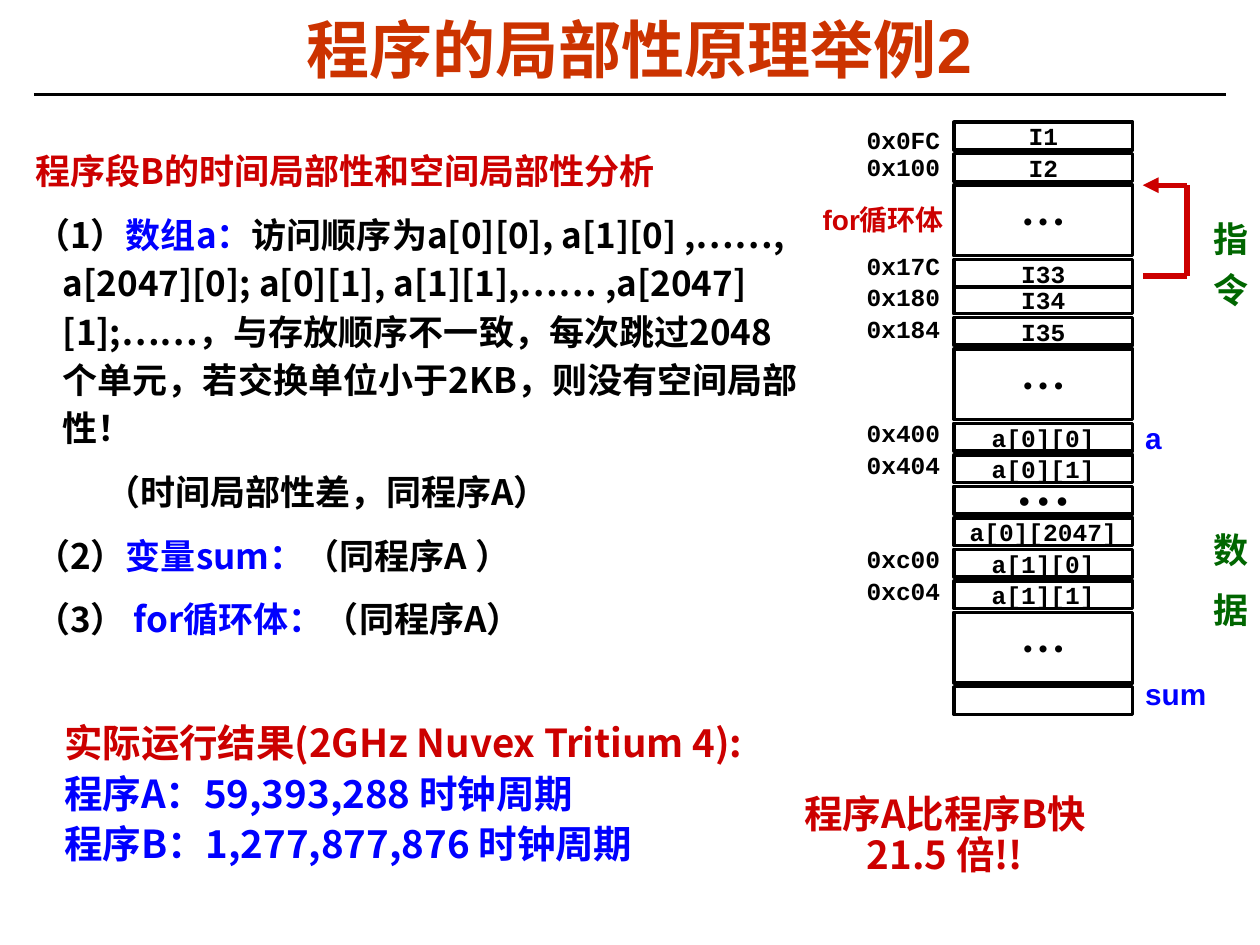
import pptx
import pptx.dml.color
import pptx.enum.dml
import pptx.enum.shapes
import pptx.enum.text
import pptx.oxml
import pptx.oxml.ns
import pptx.util
from pptx.util import Inches

SANS = "Noto Sans CJK SC"
MONO = "Courier New"
RED, BLUE, GREEN, BLACK = "CC0000", "0000FF", "006600", "000000"
LEFT = pptx.enum.text.PP_ALIGN.LEFT
CENTER = pptx.enum.text.PP_ALIGN.CENTER
MIDDLE = pptx.enum.text.MSO_ANCHOR.MIDDLE
CELL_LEFT, CELL_WIDTH, CELL_GAP = 7.57, 1.42, 0.03
LOW, TALL = 0.22, 0.56

INSTRUCTIONS = ["I1", "I2", "…", "I33"]
DATA = ["I34", "I35", "…", "a[0][0]", "a[0][1]", "•", "a[0][2047]",
        "a[1][0]", "a[1][1]", "…", ""]
DOTS = {"…": dict(height=TALL, size=14, font="Arial"),
        "•": dict(height=LOW, size=18, font="Times New Roman")}
ADDRESSES = {"0x0FC": 0.94, "0x100": 1.16, "0x17C": 1.94, "0x180": 2.19,
             "0x184": 2.44, "0x400": 3.27, "0x404": 3.52, "0xc00": 4.27,
             "0xc04": 4.52}

ANALYSIS = [
    [("程序段B的时间局部性和空间局部性分析", RED)],
    [("（1）", BLACK), ("数组a：", BLUE),
     ("访问顺序为a[0][0], a[1][0] ,……,  a[2047][0]; a[0][1], a[1][1],"
      "…… ,a[2047][1];……，与存放顺序不一致，每次跳过2048个单元，"
      "若交换单位小于2KB，则没有空间局部性！", BLACK)],
    [("（时间局部性差，同程序A）", BLACK)],
    [("（2）", BLACK), ("变量sum：", BLUE), ("（同程序A ）", BLACK)],
    [("（3） ", BLACK), ("for循环体：", BLUE), ("（同程序A）", BLACK)],
]
RESULTS = [
    [("实际运行结果(2GHz Nuvex Tritium 4):", RED)],
    [("程序A：59,393,288 时钟周期", BLUE)],
    [("程序B：1,277,877,876 时钟周期", BLUE)],
]


def rgb(value):
    return pptx.dml.color.RGBColor.from_string(value)


def add_span(para, text, size=20, font=SANS, color=BLACK, tracking=0):
    span = para.add_run()
    span.text = text
    span.font.size = pptx.util.Pt(size)
    span.font.bold = True
    span.font.color.rgb = rgb(color)
    span.font.name = font
    properties = span.font._element
    east_asian = pptx.oxml.parse_xml(
        f'<a:ea {pptx.oxml.ns.nsdecls("a")} typeface="{SANS}"/>')
    properties.append(east_asian)
    if tracking:
        properties.set("spc", str(tracking * 100))


def set_frame(frame, insets=(0.1, 0.05), wrap=True, anchor=None):
    frame.margin_left = frame.margin_right = Inches(insets[0])
    frame.margin_top = frame.margin_bottom = Inches(insets[1])
    frame.word_wrap = wrap
    if anchor is not None:
        frame.vertical_anchor = anchor


def write_paragraphs(frame, rows, align=LEFT, spacing=1.0, before=0, **style):
    for index, row in enumerate(rows):
        para = frame.paragraphs[0] if index == 0 else frame.add_paragraph()
        para.alignment = align
        para.line_spacing = spacing
        para.space_before = pptx.util.Pt(before)
        for text, color in row:
            add_span(para, text, color=color, **style)


def add_box(page, at, rows, insets=(0.1, 0.05), wrap=True, **style):
    box = page.shapes.add_textbox(*map(Inches, at))
    set_frame(box.text_frame, insets, wrap)
    if not wrap:
        box.text_frame.auto_size = (
            pptx.enum.text.MSO_AUTO_SIZE.SHAPE_TO_FIT_TEXT)
    write_paragraphs(box.text_frame, rows, **style)
    return box


def add_vertical(page, text, top, tracking):
    box = add_box(page, (9.45, top, 0.53, 1.3), [[(text, GREEN)]],
                  insets=(0.05, 0.1), font="Arial", tracking=tracking)
    box.text_frame._txBody.bodyPr.set("vert", "eaVert")


def add_line(page, start, end, color, width, arrow=False):
    line = page.shapes.add_connector(
        pptx.enum.shapes.MSO_CONNECTOR.STRAIGHT, *map(Inches, start + end))
    line.line.color.rgb = rgb(color)
    line.line.width = pptx.util.Pt(width)
    names = pptx.oxml.ns.nsdecls("a")
    if arrow:
        line.line._get_or_add_ln().append(
            pptx.oxml.parse_xml(f'<a:tailEnd {names} type="triangle"/>'))
    line._element.spPr.append(pptx.oxml.parse_xml(f"<a:effectLst {names}/>"))


def add_cell(page, text, top, height=LOW, size=14, font=MONO):
    cell = page.shapes.add_shape(
        pptx.enum.shapes.MSO_SHAPE.RECTANGLE,
        *map(Inches, (CELL_LEFT, top, CELL_WIDTH, height)))
    cell.shadow.inherit = False
    cell.fill.solid()
    cell.fill.fore_color.rgb = rgb("FFFFFF")
    cell.line.color.rgb = rgb(BLACK)
    cell.line.width = pptx.util.Pt(2)
    if text:
        set_frame(cell.text_frame, wrap=False, anchor=MIDDLE)
        write_paragraphs(cell.text_frame, [[(text, BLACK)]], align=CENTER,
                         size=size, font=font)


def add_stack(page, labels, top):
    for label in labels:
        style = DOTS.get(label, {})
        add_cell(page, "• • •" if style else label, top, **style)
        top += style.get("height", LOW) + CELL_GAP


def add_title(page, text):
    title = page.shapes.title
    title.left, title.top, title.width, title.height = map(
        Inches, (0.26, 0.12, 9.63, 0.62))
    set_frame(title.text_frame, anchor=MIDDLE)
    write_paragraphs(title.text_frame, [[(text, "CC3300")]], align=CENTER,
                     spacing=0.87, size=36, font="Arial")
    add_line(page, (0.27, 0.75), (9.73, 0.75), BLACK, 1.5)


def add_analysis(page):
    box = add_box(page, (0.18, 1.09, 6.25, 4.34), ANALYSIS,
                  spacing=1.15, before=8.8)
    for index, para in enumerate(box.text_frame.paragraphs):
        aside = index == 2
        properties = para._p.get_or_add_pPr()
        properties.set("marL", str(Inches(0.56 if aside else 0.22)))
        properties.set("indent", str(Inches(0 if aside else -0.22)))


def add_memory(page):
    for address, top in ADDRESSES.items():
        add_box(page, (6.78, top, 0.8, 0.33), [[(address, BLACK)]],
                wrap=False, size=14, font=MONO)
    add_stack(page, DATA, 2.27)
    add_stack(page, INSTRUCTIONS, 0.97)
    add_vertical(page, "指令", 1.66, 9)
    add_vertical(page, "数据", 4.13, 14)
    for name, top, width in (("a", 3.28, 0.32), ("sum", 5.31, 0.91)):
        add_box(page, (8.99, top, width, 0.38), [[(name, BLUE)]],
                size=17, font="Arial")
    corners = [(9.07, 2.19), (9.42, 2.19), (9.42, 1.47), (9.07, 1.47)]
    for start, end in zip(corners, corners[1:]):
        add_line(page, start, end, RED, 3, arrow=end == corners[-1])
    add_box(page, (6.53, 1.61, 1.23, 0.27), [[("for循环体", RED)]],
            insets=(0, 0), size=16, font="Arial")


def main():
    deck = pptx.Presentation()
    deck.slide_width, deck.slide_height = Inches(10), Inches(7.5)
    page = deck.slides.add_slide(deck.slide_layouts[5])
    add_title(page, "程序的局部性原理举例2")
    add_analysis(page)
    add_memory(page)
    add_box(page, (0.46, 5.62, 5.61, 1.64), RESULTS, insets=(0.05, 0.05),
            spacing=1.1, size=22)
    add_box(page, (6.17, 6.26, 2.66, 0.76),
            [[("程序A比程序B快21.5 倍!!", RED)]], insets=(0.05, 0.05),
            align=CENTER, spacing=0.9, size=22)
    deck.save("out.pptx")


if __name__ == "__main__":
    main()
